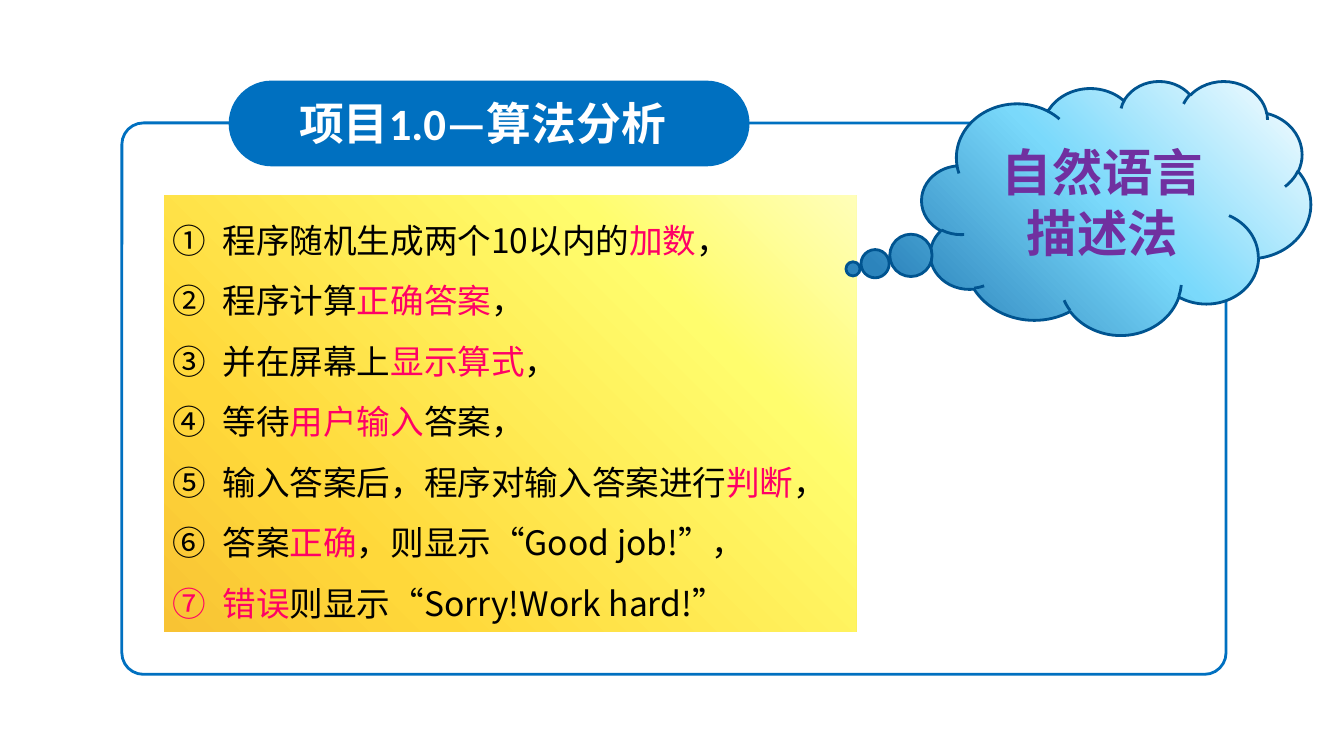
from lxml import etree
from pptx import Presentation
from pptx.dml.color import RGBColor
from pptx.enum.lang import MSO_LANGUAGE_ID
from pptx.enum.shapes import MSO_SHAPE
from pptx.enum.text import MSO_ANCHOR, MSO_AUTO_SIZE, PP_ALIGN
from pptx.oxml.ns import qn
from pptx.util import Inches, Pt

CENTER, LEFT = PP_ALIGN.CENTER, PP_ALIGN.LEFT
MIDDLE, TOP = MSO_ANCHOR.MIDDLE, MSO_ANCHOR.TOP
CHINESE = MSO_LANGUAGE_ID.SIMPLIFIED_CHINESE

# Content: text between asterisks is highlighted
TITLE = "项目1.0—算法分析"
METHOD = "自然语言描述法"
STEPS = [
    "程序随机生成两个10以内的*加数*，",
    "程序计算*正确答案*，",
    "并在屏幕上*显示算式*，",
    "等待*用户输入*答案，",
    "输入答案后，程序对输入答案进行*判断*，",
    "答案*正确*，则显示“Good job!”，",
    "*错误*则显示“Sorry!Work hard!”",
]

# Style
COLORS = {"blue": "0070C0", "white": "FFFFFF", "black": "000000",
          "pink": "FF0066", "purple": "7030A0", "cloud_edge": "005490"}
YELLOWS = [(0, "F8C334"), (25, "FFD83A"), (75, "FFFD6D"), (100, "FFFEB8")]
SKY = [(3, "2C84BC"), (49, "7AD9FB"), (100, "FCFEFF")]
LATIN, HAN = "Calibri", "Noto Sans CJK SC"

# Layout in inches: left, top, width, height
SLIDE_W, SLIDE_H = 13.34, 7.5
FRAME = (1.21, 1.22, 10.96, 5.47)
PANEL = (1.63, 1.94, 6.87, 4.33)
PILL = (2.27, 0.8, 5.17, 0.85)
TITLE_BOX = (2.18, 0.95, 5.22, 0.53)
CLOUD = (9.15, 0.8, 3.86, 2.52)


def rgb(name):
    return RGBColor.from_string(COLORS[name])


def add_shape(kind, box, adjustments=(), fill=None, stops=None, line=None):
    sp = slide.shapes.add_shape(kind, *map(Inches, box))
    sp.shadow.inherit = False
    for i, value in enumerate(adjustments):
        sp.adjustments[i] = value
    if stops:
        set_gradient(sp, stops)
    elif fill:
        sp.fill.solid()
        sp.fill.fore_color.rgb = rgb(fill)
    else:
        sp.fill.background()
    if line:
        sp.line.color.rgb = rgb(line)
        sp.line.width = Pt(2)
    else:
        sp.line.fill.background()
    return sp


def set_gradient(sp, stops):
    """Blend from the lower left to the upper right."""
    sp.fill.gradient()
    sp.fill.gradient_angle = 45
    stop_list = sp._element.spPr.find(".//" + qn("a:gsLst"))
    for old in list(stop_list):
        stop_list.remove(old)
    for percent, color in stops:
        gs = etree.SubElement(stop_list, qn("a:gs"), pos=str(percent * 1000))
        etree.SubElement(gs, qn("a:srgbClr"), val=color)


def format_run(r, size, color, latin, bold=False):
    r.font.size, r.font.bold = Pt(size), bold
    r.font.color.rgb = rgb(color)
    r.font.name = latin
    r.font.language_id = CHINESE
    etree.SubElement(r._r.get_or_add_rPr(), qn("a:ea"), typeface=HAN)


def set_heading(sp, text, size, color):
    tf = sp.text_frame
    tf.text = text
    tf.word_wrap, tf.vertical_anchor = True, MIDDLE
    tf.auto_size = MSO_AUTO_SIZE.NONE
    p = tf.paragraphs[0]
    p.alignment = CENTER
    format_run(p.runs[0], size, color, LATIN, bold=True)


def number_paragraph(p):
    pPr = p._p.get_or_add_pPr()
    indent = Inches(0.5)
    pPr.set("marL", str(indent))
    pPr.set("indent", str(-indent))
    etree.SubElement(pPr, qn("a:buFont"), typeface="+mj-ea")
    etree.SubElement(pPr, qn("a:buAutoNum"), type="circleNumDbPlain")


prs = Presentation()
prs.slide_width, prs.slide_height = Inches(SLIDE_W), Inches(SLIDE_H)
slide = prs.slides.add_slide(prs.slide_layouts[5])

# Frame and panel of steps
add_shape(MSO_SHAPE.ROUNDED_RECTANGLE, FRAME, [0.039], line="blue")
panel = add_shape(MSO_SHAPE.RECTANGLE, PANEL, stops=YELLOWS)
tf = panel.text_frame
tf.word_wrap, tf.vertical_anchor = True, TOP
tf.margin_left = tf.margin_right = Inches(0.08)
tf.margin_top = tf.margin_bottom = Inches(0.04)
for i, step in enumerate(STEPS):
    p = tf.add_paragraph() if i else tf.paragraphs[0]
    p.alignment, p.line_spacing = LEFT, 1.5
    number_paragraph(p)
    for j, part in enumerate(step.split("*")):
        if part:
            r = p.add_run()
            r.text = part
            format_run(r, 24, "pink" if j % 2 else "black", HAN)

# Title on its pill
add_shape(MSO_SHAPE.ROUNDED_RECTANGLE, PILL, [0.5], fill="blue")
title = slide.shapes.title
title.left, title.top, title.width, title.height = map(Inches, TITLE_BOX)
set_heading(title, TITLE, 32, "white")
slide.shapes._spTree.append(title._element)

# Thought cloud
cloud = add_shape(MSO_SHAPE.CLOUD_CALLOUT, CLOUD, [-0.677, 0.241],
                  stops=SKY, line="cloud_edge")
set_heading(cloud, METHOD, 36, "purple")

prs.save("out.pptx")
